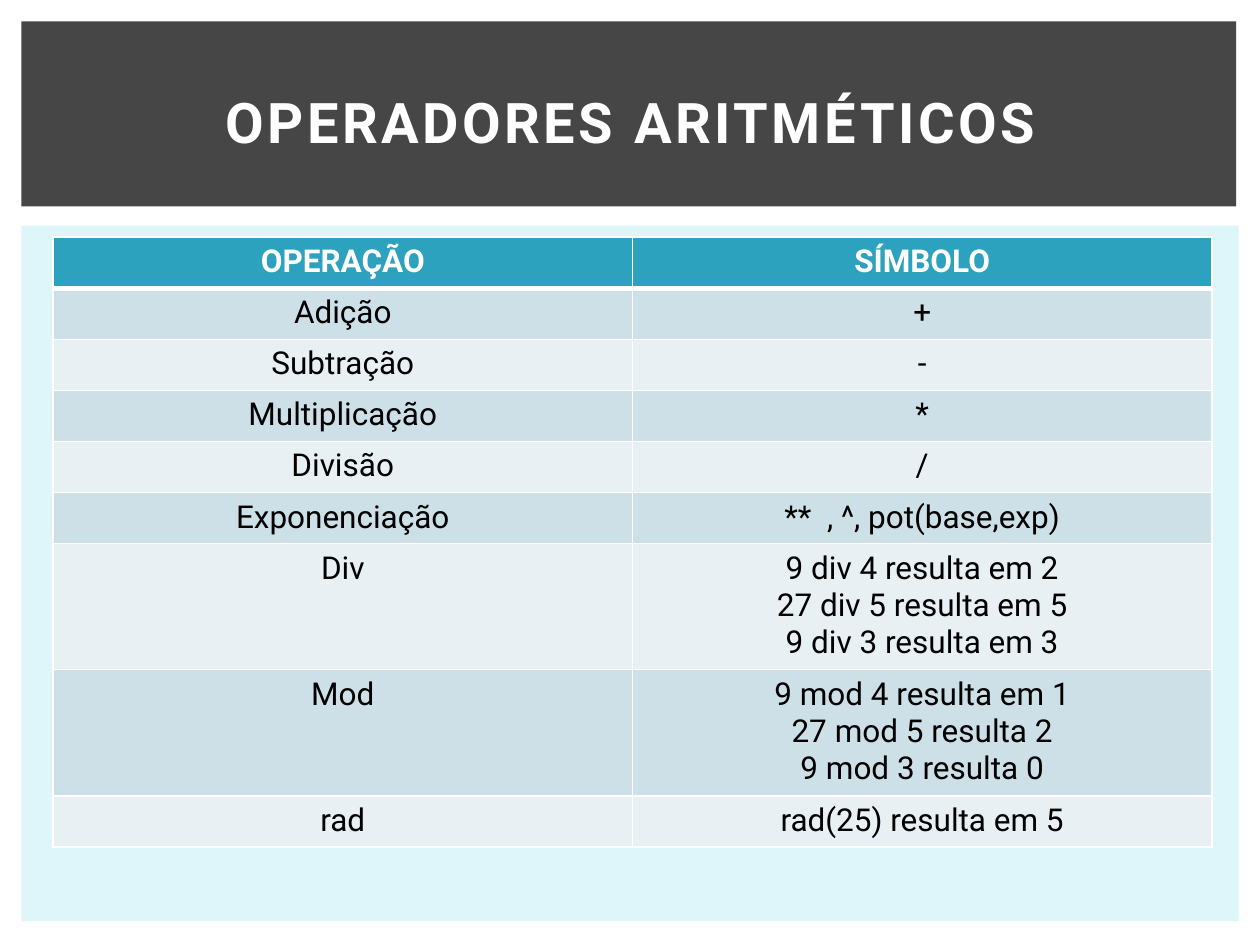
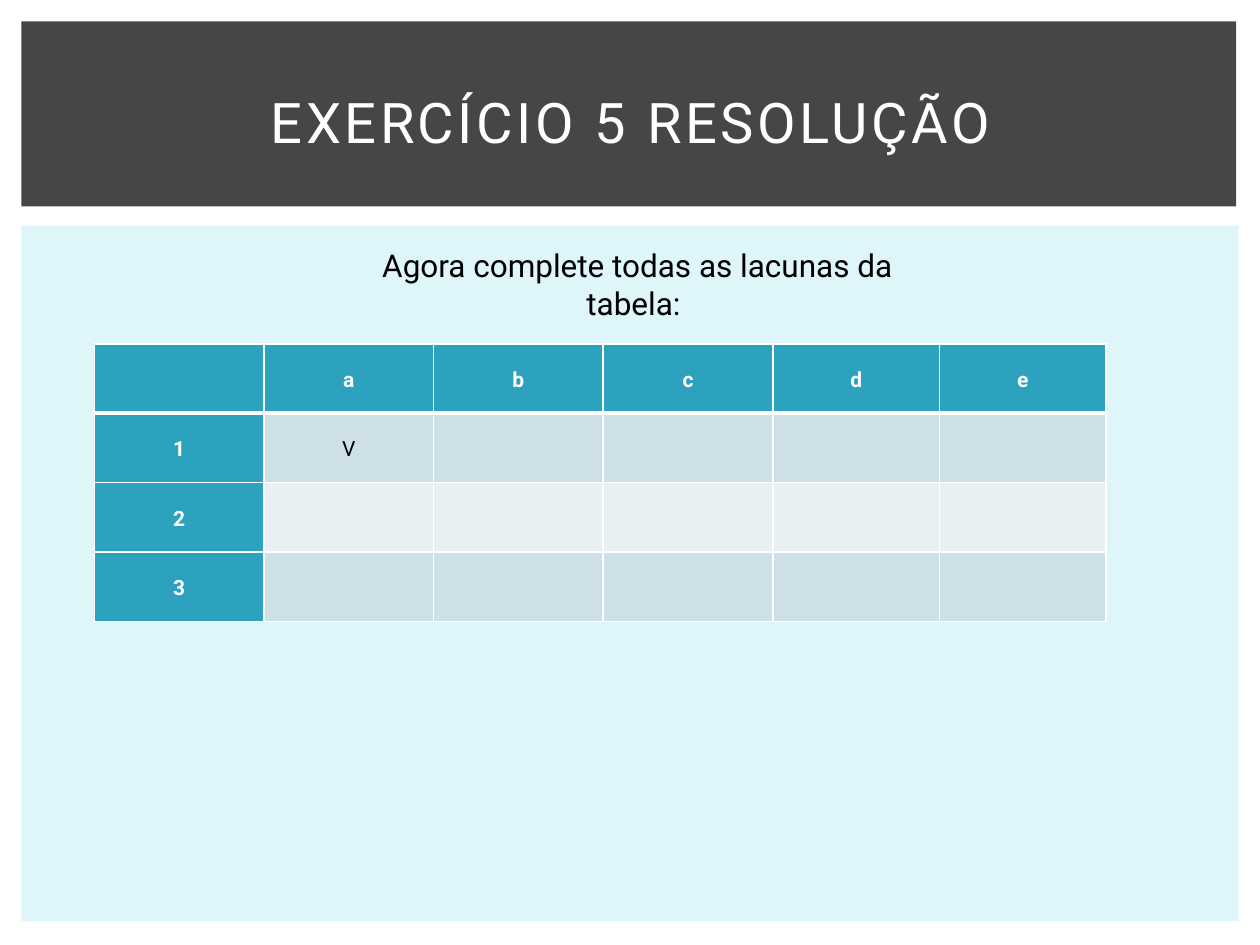
from dataclasses import dataclass

from lxml import etree
from pptx import Presentation
from pptx.dml.color import RGBColor
from pptx.enum.shapes import MSO_SHAPE
from pptx.enum.text import MSO_ANCHOR, PP_ALIGN
from pptx.oxml.ns import qn
from pptx.util import Cm, Pt

RECTANGLE = MSO_SHAPE.RECTANGLE
CENTER = PP_ALIGN.CENTER
TOP, MIDDLE = MSO_ANCHOR.TOP, MSO_ANCHOR.MIDDLE
BLANK_LAYOUT = 6


@dataclass(frozen=True)
class Theme:
    font: str = "Roboto"
    white: str = "FFFFFF"
    black: str = "000000"
    band: str = "464646"
    panel: str = "DEF5FA"
    header: str = "2DA2BF"
    stripes: tuple = ("CDE0E8", "E8F0F4")
    title_size: int = 32
    body_size: int = 18
    small_size: int = 12
    title_spacing: int = 2
    border: int = 1
    header_border: int = 3


class DeckBuilder:
    def __init__(self, theme):
        self.theme = theme
        self.deck = Presentation()
        self.deck.slide_width, self.deck.slide_height = Cm(25.4), Cm(19.05)
        self.page = None

    def add_page(self, title, bold=False):
        """Start a page with the shared panel, title band and title."""
        theme = self.theme
        self.page = self.deck.slides.add_slide(self.deck.slide_layouts[BLANK_LAYOUT])
        self.rectangle(0.43, 4.55, 24.54, 14.02, theme.panel)
        self.rectangle(0.43, 0.43, 24.49, 3.73, theme.band)
        para = self.text(title, 1.07, 0.99, 23.29, 2.92, theme.title_size,
                         theme.white, bold, MIDDLE)
        for span in para.runs:
            span.font._element.set("spc", str(theme.title_spacing * 100))

    def rectangle(self, left, top, width, height, color):
        shape = self.page.shapes.add_shape(
            RECTANGLE, Cm(left), Cm(top), Cm(width), Cm(height))
        shape.shadow.inherit = False
        shape.fill.solid()
        shape.fill.fore_color.rgb = RGBColor.from_string(color)
        shape.line.fill.background()

    def style(self, para, size, color, bold=False):
        para.alignment = CENTER
        font = para.font
        font.name, font.size, font.bold = self.theme.font, Pt(size), bold
        font.color.rgb = RGBColor.from_string(color)

    def text(self, words, left, top, width, height, size, color, bold=False, anchor=TOP):
        box = self.page.shapes.add_textbox(Cm(left), Cm(top), Cm(width), Cm(height))
        frame = box.text_frame
        frame.word_wrap = True
        frame.vertical_anchor = anchor
        frame.text = words
        para = frame.paragraphs[0]
        self.style(para, size, color, bold)
        return para

    def table(self, rows, left, top, widths, heights, size, header_column=False, compact=False):
        """Draw a striped table; compact cells are centred with tight margins."""
        theme = self.theme
        frame = self.page.shapes.add_table(
            len(rows), len(widths), Cm(left), Cm(top), Cm(sum(widths)), Cm(sum(heights)))
        table = frame.table
        table.first_col = header_column
        for column, width in zip(table.columns, widths):
            column.width = Cm(width)
        for row, height in zip(table.rows, heights):
            row.height = Cm(height)

        for row_index, row in enumerate(rows):
            for column_index, words in enumerate(row):
                cell = table.cell(row_index, column_index)
                is_header = row_index == 0 or (header_column and column_index == 0)
                self.borders(cell, row_index)
                cell.fill.solid()
                cell.fill.fore_color.rgb = RGBColor.from_string(
                    theme.header if is_header else theme.stripes[(row_index - 1) % 2])
                if compact:
                    cell.vertical_anchor = MIDDLE
                    cell.margin_left = cell.margin_right = Cm(0.18)
                    cell.margin_top = cell.margin_bottom = 0
                cell.text = words
                for para in cell.text_frame.paragraphs:
                    self.style(para, size, theme.white if is_header else theme.black, is_header)
                    if compact:
                        para.line_spacing = 1.15

    def borders(self, cell, row_index):
        """Outline a cell, with a thicker rule under the header row."""
        theme = self.theme
        thick_side = {0: "lnB", 1: "lnT"}.get(row_index)
        properties = cell._tc.get_or_add_tcPr()
        for side in ("lnL", "lnR", "lnT", "lnB"):
            width = theme.header_border if side == thick_side else theme.border
            line = etree.SubElement(properties, qn(f"a:{side}"), w=str(Pt(width)))
            fill = etree.SubElement(line, qn("a:solidFill"))
            etree.SubElement(fill, qn("a:srgbClr"), val=theme.white)


def add_operators_page(builder):
    operators = [
        ("OPERAÇÃO", "SÍMBOLO"),
        ("Adição", "+"),
        ("Subtração", "-"),
        ("Multiplicação", "*"),
        ("Divisão", "/"),
        ("Exponenciação", "**  , ^, pot(base,exp)"),
        ("Div", "9 div 4 resulta em 2\n27 div 5 resulta em 5\n9 div 3 resulta em 3"),
        ("Mod", "9 mod 4 resulta em 1\n27 mod 5 resulta 2\n9 mod 3 resulta 0"),
        ("rad", "rad(25) resulta em 5"),
    ]
    heights = [2.49 if "\n" in symbol else 1.03 for _, symbol in operators]
    builder.add_page("OPERADORES ARITMÉTICOS", bold=True)
    builder.table(operators, 1.07, 4.78, [11.68] * 2, heights, builder.theme.body_size)


def add_exercise_page(builder):
    theme = builder.theme
    answers = [["", *"abcde"]] + [[number, *[""] * 5] for number in "123"]
    answers[1][1] = "V"
    builder.add_page("EXERCÍCIO 5 RESOLUÇÃO")
    builder.table(answers, 1.9, 6.93, [3.42] * 4 + [3.36] * 2, [1.4] * 4,
                  theme.small_size, header_column=True, compact=True)
    builder.text("Agora complete todas as lacunas da tabela: ", 6.5, 4.83, 12.7, 1.02,
                 theme.body_size, theme.black)


def main():
    builder = DeckBuilder(Theme())
    add_operators_page(builder)
    add_exercise_page(builder)
    builder.deck.save("out.pptx")


if __name__ == "__main__":
    main()
